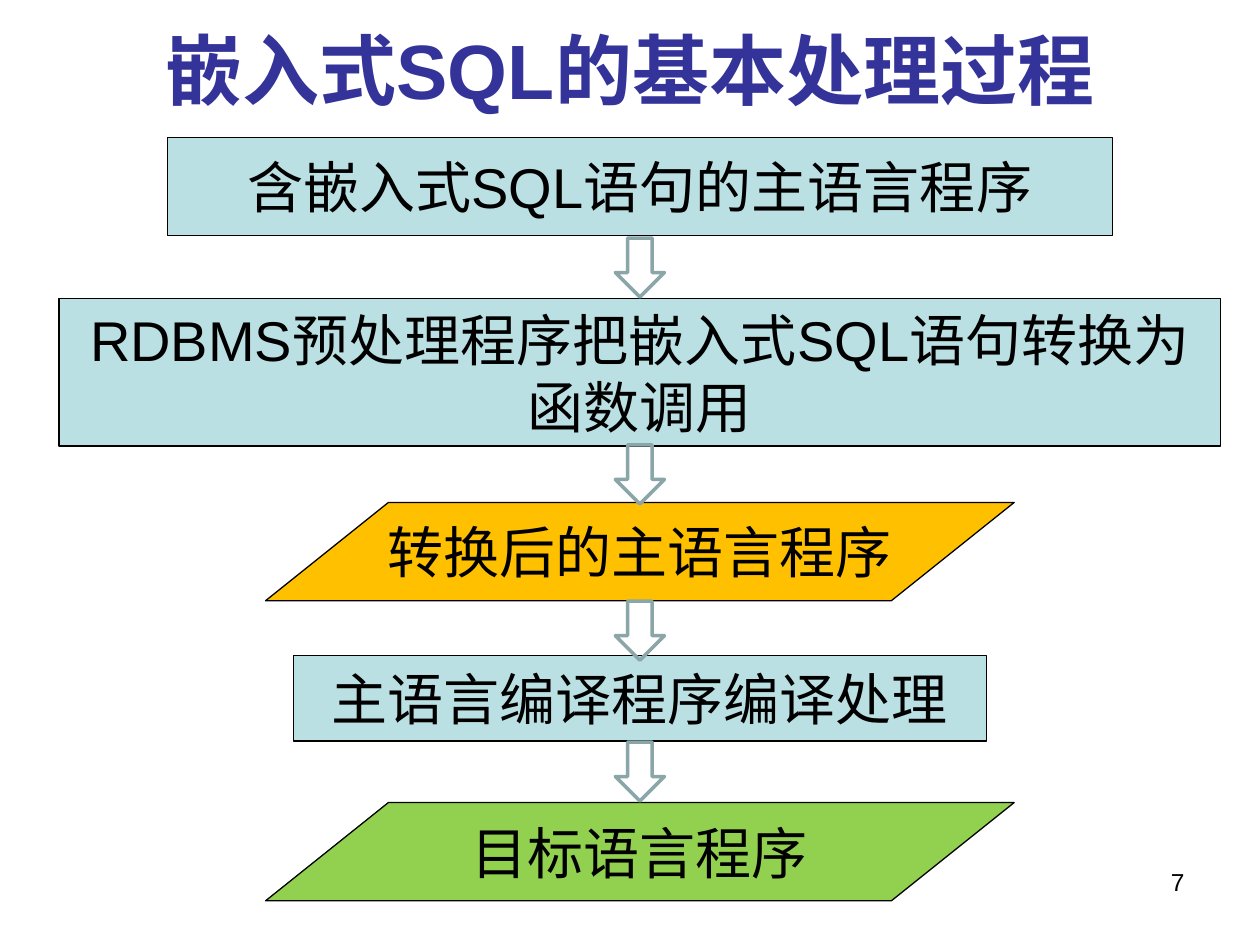
import dataclasses

import pptx
import pptx.dml.color
import pptx.enum.shapes
import pptx.enum.text
import pptx.util

Cm = pptx.util.Cm
Shape = pptx.enum.shapes.MSO_SHAPE
Align = pptx.enum.text.PP_ALIGN
Anchor = pptx.enum.text.MSO_ANCHOR

COLORS = {
    "title": "333399",
    "text": "000000",
    "process": "BBE0E3",
    "converted": "FFC000",
    "target": "92D050",
    "arrow": "8AA6A8",
}
CENTER = 12.9
ARROW_WIDTH, ARROW_HEIGHT = 0.99, 1.19


@dataclasses.dataclass
class Step:
    text: str
    top: float
    width: float
    height: float
    fill: str = "process"
    outline: Shape = Shape.RECTANGLE
    wrap: bool = False


STEPS = [
    Step("含嵌入式SQL语句的主语言程序", 2.77, 19.05, 1.98),
    Step("RDBMS预处理程序把嵌入式SQL语句转换为函数调用", 6.02, 23.42, 2.97, wrap=True),
    Step("转换后的主语言程序", 10.13, 15.09, 1.98, "converted", Shape.PARALLELOGRAM),
    Step("主语言编译程序编译处理", 13.21, 13.97, 1.73, wrap=True),
    Step("目标语言程序", 16.18, 15.09, 1.98, "target", Shape.PARALLELOGRAM),
]
ARROW_TOPS = [4.8, 8.97, 12.12, 14.96]


def color(name: str) -> pptx.dml.color.RGBColor:
    return pptx.dml.color.RGBColor.from_string(COLORS[name])


def write(box, text: str, size: int, align: Align, ink: str = "text",
          bold: bool = False, anchor: Anchor = Anchor.MIDDLE, wrap: bool = True) -> None:
    frame = box.text_frame
    for name, value in {"word_wrap": wrap, "vertical_anchor": anchor,
                        "auto_size": pptx.enum.text.MSO_AUTO_SIZE.NONE}.items():
        setattr(frame, name, value)
    para = frame.paragraphs[0]
    para.alignment = align
    span = para.add_run()
    span.text = text
    for name, value in {"name": "Arial", "size": pptx.util.Pt(size), "bold": bold}.items():
        setattr(span.font, name, value)
    span.font.color.rgb = color(ink)


def add_centered(page, outline: Shape, top: float, width: float, height: float,
                 line: str, weight: float):
    shape = page.shapes.add_shape(
        outline, Cm(CENTER - width / 2), Cm(top), Cm(width), Cm(height))
    shape.shadow.inherit = False
    shape.line.color.rgb = color(line)
    shape.line.width = pptx.util.Pt(weight)
    return shape


def add_step(page, step: Step) -> None:
    box = add_centered(page, step.outline, step.top, step.width, step.height, "text", 0.75)
    box.fill.solid()
    box.fill.fore_color.rgb = color(step.fill)
    if step.outline == Shape.PARALLELOGRAM:
        box.adjustments[0] = 1.25
    write(box, step.text, 32, Align.CENTER, wrap=step.wrap)


def add_arrow(page, top: float) -> None:
    arrow = add_centered(page, Shape.DOWN_ARROW, top, ARROW_WIDTH, ARROW_HEIGHT, "arrow", 2)
    arrow.fill.background()


def main() -> None:
    deck = pptx.Presentation()
    deck.slide_width, deck.slide_height = Cm(25.4), Cm(19.05)
    page = deck.slides.add_slide(deck.slide_layouts[5])

    title = page.shapes.title
    for name, value in {"left": 1.27, "top": -0.2, "width": 22.86, "height": 3.18}.items():
        setattr(title, name, Cm(value))
    write(title, "嵌入式SQL的基本处理过程", 44, Align.CENTER, "title", bold=True)

    for step in STEPS:
        add_step(page, step)
    for top in ARROW_TOPS:
        add_arrow(page, top)

    number = page.shapes.add_textbox(Cm(18.2), Cm(17.35), Cm(5.93), Cm(1.32))
    write(number, "7", 14, Align.RIGHT, anchor=Anchor.TOP)

    deck.save("out.pptx")


if __name__ == "__main__":
    main()
